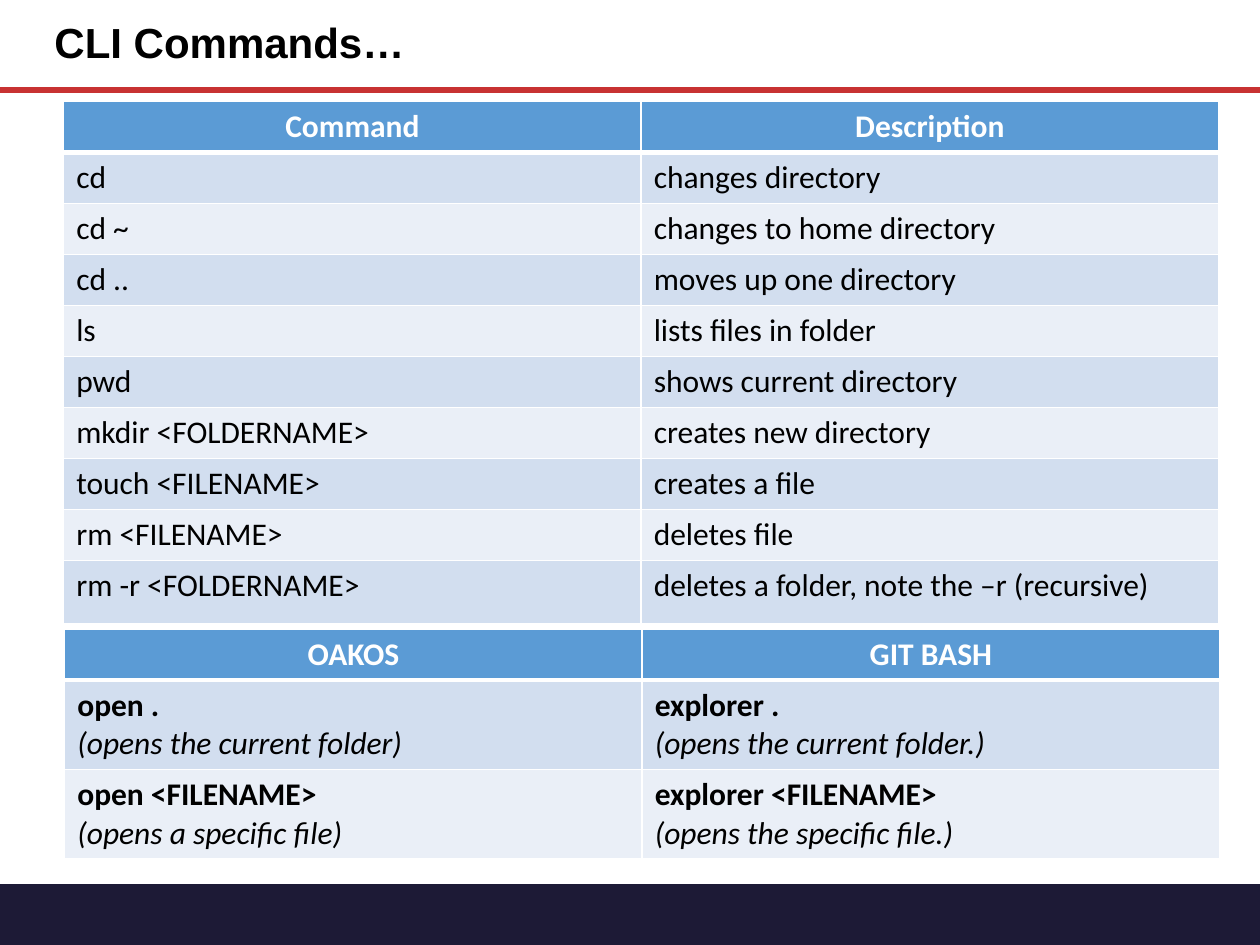
import pptx
import pptx.util
import pptx.dml.color
import pptx.enum.shapes
import pptx.enum.text
import pptx.oxml
import pptx.oxml.ns

Pt = pptx.util.Pt
RGBColor = pptx.dml.color.RGBColor
ALIGN = pptx.enum.text.PP_ALIGN
ANCHOR = pptx.enum.text.MSO_ANCHOR

BLACK = RGBColor(0x00, 0x00, 0x00)
WHITE = RGBColor(0xFF, 0xFF, 0xFF)
RED = RGBColor(0xC8, 0x32, 0x32)
NAVY = RGBColor(0x1D, 0x1A, 0x36)
BLUE = RGBColor(0x5B, 0x9B, 0xD5)
BANDS = [RGBColor(0xD2, 0xDE, 0xEF), RGBColor(0xEA, 0xEF, 0xF7)]

COMMANDS = [
    ("Command", "Description"),
    ("cd", "changes directory"),
    ("cd ~", "changes to home directory"),
    ("cd ..", "moves up one directory"),
    ("ls", "lists files in folder"),
    ("pwd", "shows current directory"),
    ("mkdir <FOLDERNAME>", "creates new directory"),
    ("touch <FILENAME>", "creates a file"),
    ("rm <FILENAME>", "deletes file"),
    ("rm -r <FOLDERNAME>", "deletes a folder, note the –r (recursive)"),
]
OPENERS = [
    ("OAKOS", "GIT BASH"),
    (("open .", "(opens the current folder)"),
     ("explorer .", "(opens the current folder.)")),
    (("open <FILENAME>", "(opens a specific file)"),
     ("explorer <FILENAME>", "(opens the specific file.)")),
]


def add_run(p, text, font, size, color, bold=False, italic=False):
    r = p.add_run()
    r.text = text
    r.font.name = font
    r.font.size = Pt(size)
    r.font.color.rgb = color
    r.font.bold = bold
    r.font.italic = italic


def set_borders(cell, top, bottom):
    tcPr = cell._tc.get_or_add_tcPr()
    for side, width in (("L", 1), ("R", 1), ("T", top), ("B", bottom)):
        tcPr.append(pptx.oxml.parse_xml(
            f'<a:ln{side} {pptx.oxml.ns.nsdecls("a")} w="{Pt(width)}">'
            f'<a:solidFill><a:srgbClr val="{WHITE}"/></a:solidFill></a:ln{side}>'))


def fill_cell(cell, content, row):
    header = row == 0
    set_borders(cell, 3 if row == 1 else 1, 3 if header else 1)
    cell.fill.solid()
    cell.fill.fore_color.rgb = BLUE if header else BANDS[(row - 1) % 2]
    p = cell.text_frame.paragraphs[0]
    if header:
        p.alignment = ALIGN.CENTER
        add_run(p, content, "Calibri", 18, WHITE, bold=True)
    elif isinstance(content, tuple):
        command, note = content
        add_run(p, command, "Calibri", 18, BLACK, bold=True)
        p.add_line_break()
        add_run(p, note, "Calibri", 18, BLACK, italic=True)
    else:
        add_run(p, content, "Calibri", 18, BLACK)


def add_command_table(s, x, y, w, rows, heights):
    columns = len(rows[0])
    table = s.shapes.add_table(len(rows), columns, Pt(x), Pt(y),
                               Pt(w), Pt(sum(heights))).table
    for column in table.columns:
        column.width = Pt(w / columns)
    for i, (contents, height) in enumerate(zip(rows, heights)):
        table.rows[i].height = Pt(height)
        for j, content in enumerate(contents):
            fill_cell(table.cell(i, j), content, i)


def add_header(s, x, y, w, h):
    rule = s.shapes.add_connector(pptx.enum.shapes.MSO_CONNECTOR.STRAIGHT,
                                  Pt(x), Pt(y + h), Pt(x + w), Pt(y + h))
    rule.line.color.rgb = RED
    rule.line.width = Pt(3.25)
    rule._element.spPr.append(pptx.oxml.parse_xml(
        f'<a:effectLst {pptx.oxml.ns.nsdecls("a")}/>'))
    tf = s.shapes.add_textbox(Pt(x + 24), Pt(y), Pt(430), Pt(h)).text_frame
    tf.word_wrap = True
    tf.vertical_anchor = ANCHOR.MIDDLE
    p = tf.paragraphs[0]
    p.line_spacing = 0.9
    add_run(p, "CLI Commands…", "Arial", 24, BLACK, bold=True)


def add_footer(s, x, y, w, h):
    sp = s.shapes.add_shape(pptx.enum.shapes.MSO_SHAPE.FLOWCHART_PROCESS,
                            Pt(x), Pt(y), Pt(w), Pt(h))
    sp.shadow.inherit = False
    sp.fill.solid()
    sp.fill.fore_color.rgb = NAVY
    sp.line.fill.background()


def main():
    prs = pptx.Presentation()
    prs.slide_width = Pt(720)
    prs.slide_height = Pt(540)
    s = prs.slides.add_slide(prs.slide_layouts[6])
    add_footer(s, 0, 505.2, 720, 36)
    add_header(s, 0, 0, 720, 51.6)
    add_command_table(s, 37, 359.4, 660, OPENERS, [29.2, 51, 51])
    add_command_table(s, 36.4, 58, 660, COMMANDS, [29.16] * 9 + [36])
    prs.save("out.pptx")


if __name__ == "__main__":
    main()
